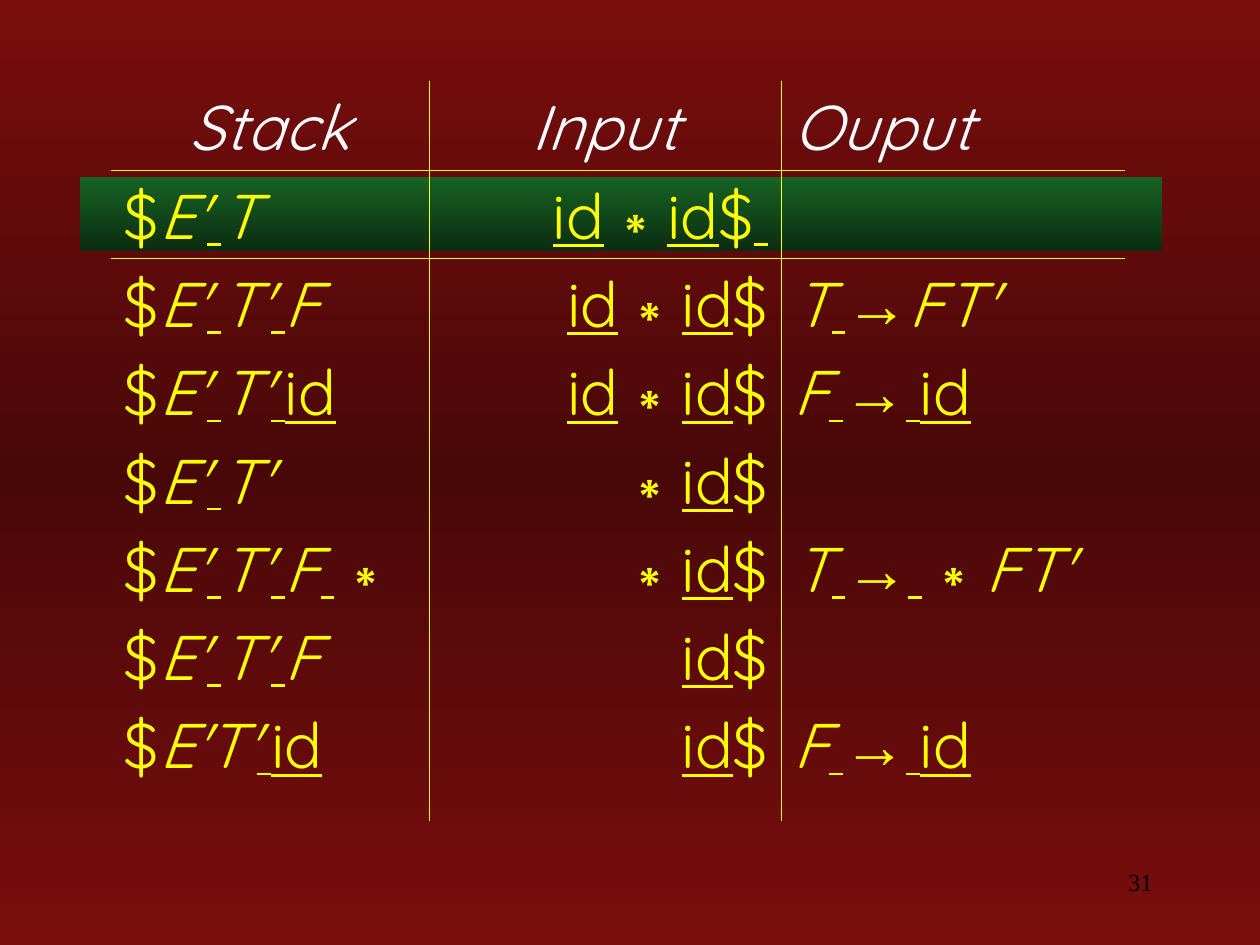
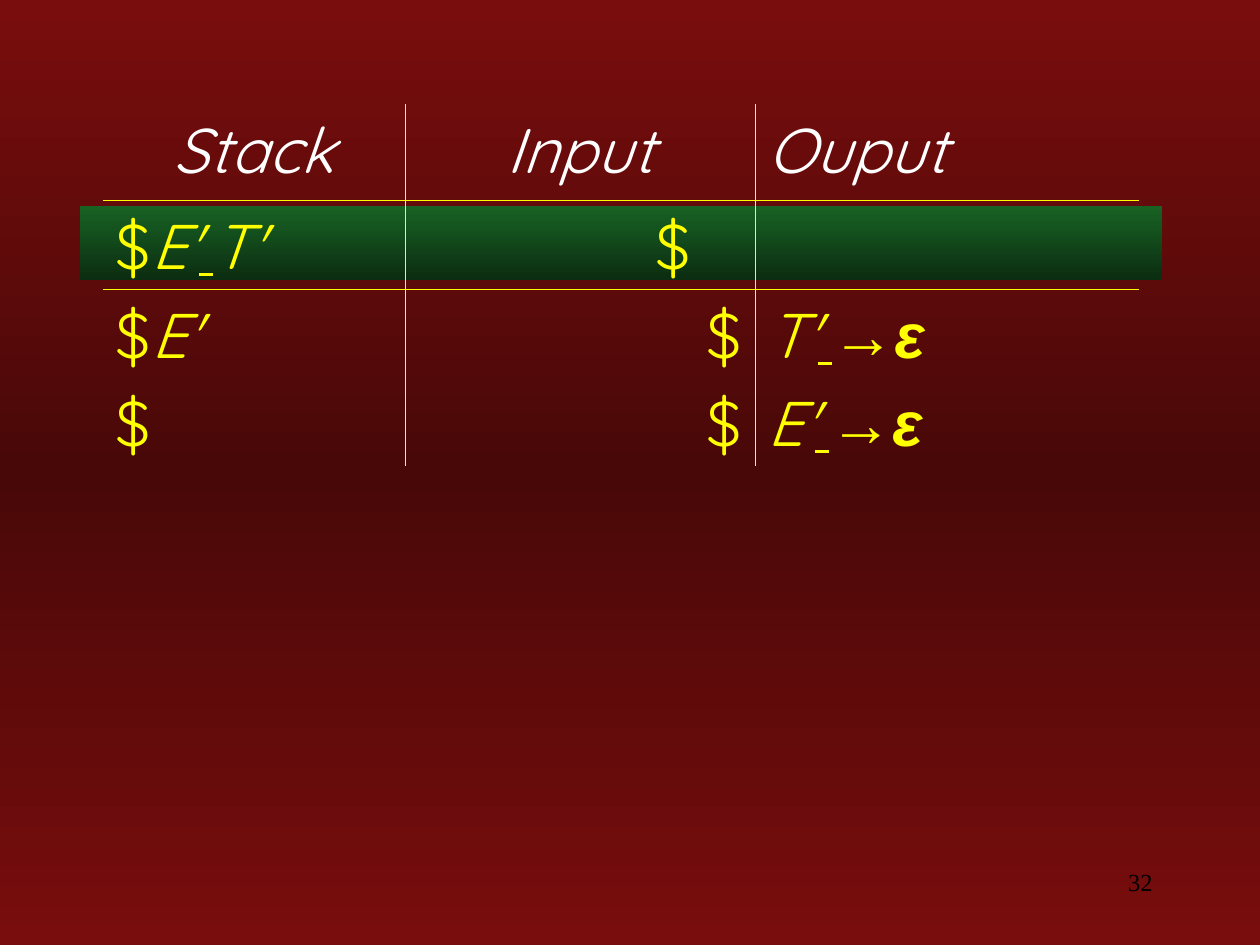
from copy import deepcopy
from itertools import groupby

from lxml.etree import SubElement
from pptx import Presentation
from pptx.dml.color import RGBColor
from pptx.enum.shapes import MSO_SHAPE as Shape
from pptx.enum.text import PP_ALIGN as Align
from pptx.oxml.ns import qn
from pptx.util import Emu, Pt

RED = RGBColor(0x79, 0x0D, 0x0D)
DARK_RED = RGBColor(0x49, 0x08, 0x08)
GREEN = RGBColor(0x18, 0x62, 0x24)
DARK_GREEN = RGBColor(0x0B, 0x2D, 0x11)
YELLOW = RGBColor(0xFF, 0xFF, 0x00)
WHITE = RGBColor(0xFF, 0xFF, 0xFF)
BLACK = RGBColor(0x00, 0x00, 0x00)

HEADINGS = ("Stack", "Input", "Ouput")
TRACES = [
    {
        "number": "31", "left": 111, "top": 81, "height": 742, "band_top": 177,
        "columns": (318, 352, 344),
        "row_heights": (89, 88, 88, 88, 88, 88, 88, 122),
        "first_input_inset": 13,
        "moves": [
            ("$E' T", "id∗id$ ", ""),
            ("$E' T' F", "id∗id$", "T →FT'"),
            ("$E' T' id", "id∗id$", "F → id"),
            ("$E' T'", "∗id$", ""),
            ("$E' T' F ∗", "∗id$", "T → ∗FT'"),
            ("$E' T' F", "id$", ""),
            ("$E'T' id", "id$", "F → id"),
        ],
    },
    {
        "number": "32", "left": 103, "top": 104, "height": 363, "band_top": 206,
        "columns": (302, 350, 384),
        "row_heights": (96, 89, 88, 88),
        "first_input_inset": 64,
        "moves": [
            ("$E' T'", "$", ""),
            ("$E'", "$", "T' →ε"),
            ("$", "$", "E' →ε"),
        ],
    },
]

SLIDE_SIZE = (1260, 945)
BAND_LEFT, BAND_WIDTH, BAND_HEIGHT = 80, 1082, 74
NUMBER_BOX = (903, 861, 262, 63)
BORDER_WIDTH = Pt(0.45)
NO_GRID_STYLE = "{2D5ABB26-0587-4C30-8999-92F81FD0307C}"

BASE = {"name": "Quicksand", "size": Pt(36), "bold": False, "italic": False, "underline": False}
HEADING = BASE | {"italic": True}
NUMBER = {"name": "Times New Roman", "size": Pt(14)}
VARIABLE = BASE | {"italic": True}
TOKEN = BASE | {"underline": True}
SYMBOLS = {
    "$": BASE,
    "i": TOKEN,
    "d": TOKEN,
    " ": TOKEN | {"size": Pt(29)},
    "∗": BASE | {"name": "Arial"},
    "→": BASE | {"name": "Arial", "bold": True},
    "ε": BASE | {"name": "Arial", "bold": True, "italic": True},
}
HEADING_ALIGN = (Align.CENTER, Align.CENTER, Align.LEFT)
MOVE_ALIGN = (Align.LEFT, Align.RIGHT, Align.LEFT)


def px(length):
    return Emu(round(length * 914400 / 126))


def add_span(para, text, style, color):
    span = para.add_run()
    span.text = text
    for name, value in style.items():
        setattr(span.font, name, value)
    span.font.color.rgb = color


def paint_gradient(fill, colors):
    fill.gradient_angle = 270
    last = len(colors) - 1
    for index, (stop, color) in enumerate(zip(fill.gradient_stops, colors)):
        stop.position = index / last
        stop.color.rgb = color


def paint_background(master):
    fill = master.background.fill
    fill.gradient()
    stops = next(master.element.iter(qn("a:gsLst")))
    stops.append(deepcopy(stops[0]))
    paint_gradient(fill, (RED, DARK_RED, RED))


def add_band(page, top):
    band = page.shapes.add_shape(
        Shape.RECTANGLE, px(BAND_LEFT), px(top), px(BAND_WIDTH), px(BAND_HEIGHT))
    band.shadow.inherit = False
    band.fill.gradient()
    paint_gradient(band.fill, (GREEN, DARK_GREEN))
    band.line.fill.background()


def add_number(page, number):
    box = page.shapes.add_textbox(*map(px, NUMBER_BOX))
    box.text_frame.word_wrap = True
    para = box.text_frame.paragraphs[0]
    para.alignment = Align.RIGHT
    add_span(para, number, NUMBER, BLACK)


def draw_borders(cell, row, column):
    sides = {"L": column > 0, "R": column < 2, "T": row == 1, "B": row == 0}
    properties = cell._tc.get_or_add_tcPr()
    for side, drawn in sides.items():
        if drawn:
            line = SubElement(properties, qn(f"a:ln{side}"), w=str(BORDER_WIDTH))
            fill = SubElement(line, qn("a:solidFill"))
            SubElement(fill, qn("a:srgbClr"), val=str(YELLOW))
    cell.fill.background()


def add_trace(page, trace):
    rows = [HEADINGS, *trace["moves"]]
    frame = page.shapes.add_table(
        len(rows), len(HEADINGS), px(trace["left"]), px(trace["top"]),
        px(sum(trace["columns"])), px(trace["height"]))
    table = frame.table
    table.first_row = table.horz_banding = False
    next(table._tbl.iter(qn("a:tableStyleId"))).text = NO_GRID_STYLE
    for column, width in zip(table.columns, trace["columns"]):
        column.width = px(width)
    for r, (texts, height) in enumerate(zip(rows, trace["row_heights"])):
        table.rows[r].height = px(height)
        for c, text in enumerate(texts):
            cell = table.cell(r, c)
            draw_borders(cell, r, c)
            para = cell.text_frame.paragraphs[0]
            if r == 0:
                para.alignment = HEADING_ALIGN[c]
                add_span(para, text, HEADING, WHITE)
                continue
            para.alignment = MOVE_ALIGN[c]
            for style, letters in groupby(text, lambda letter: SYMBOLS.get(letter, VARIABLE)):
                add_span(para, "".join(letters), style, YELLOW)
    table.cell(1, 1).margin_right = px(trace["first_input_inset"])


def main():
    deck = Presentation()
    deck.slide_width, deck.slide_height = map(px, SLIDE_SIZE)
    paint_background(deck.slide_master)
    for trace in TRACES:
        page = deck.slides.add_slide(deck.slide_layouts[6])
        add_number(page, trace["number"])
        add_band(page, trace["band_top"])
        add_trace(page, trace)
    deck.save("out.pptx")


if __name__ == "__main__":
    main()
